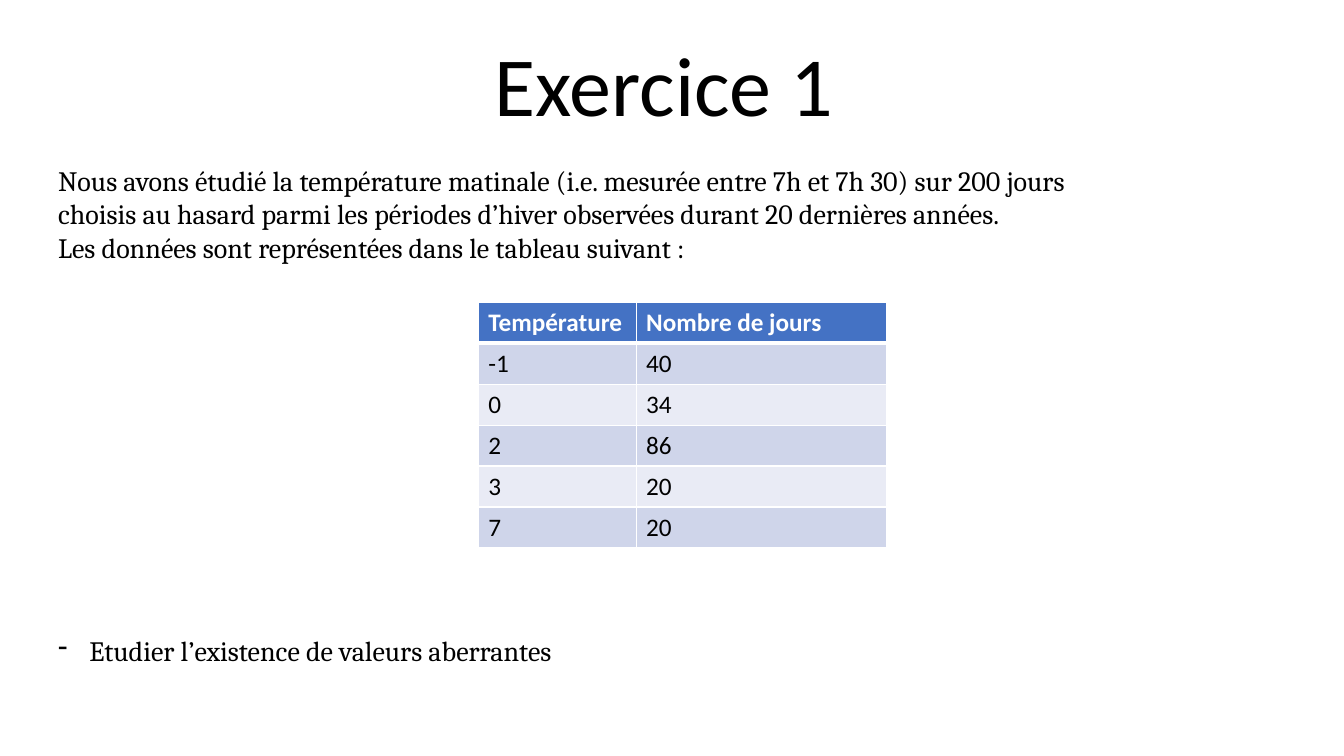
from lxml.etree import SubElement
from pptx import Presentation
from pptx.dml.color import RGBColor
from pptx.enum.text import MSO_ANCHOR as Anchor, PP_ALIGN as Align
from pptx.oxml.ns import qn
from pptx.util import Inches, Pt

BLACK = RGBColor(0x00, 0x00, 0x00)
WHITE = RGBColor(0xFF, 0xFF, 0xFF)
HEADER_BLUE = RGBColor(0x44, 0x72, 0xC4)
BANDS = (RGBColor(0xE9, 0xEB, 0xF5), RGBColor(0xCF, 0xD5, 0xEA))

TITLE = {"name": "Calibri", "size": Pt(60)}
BODY = {"name": "Cambria", "size": Pt(20)}
HEADER = {"name": "Calibri", "size": Pt(18), "bold": True}
CELL = {"name": "Calibri", "size": Pt(18), "bold": False}

STATEMENT = [
    ("Nous avons étudié la température matinale (i.e. mesurée entre 7h et 7h 30) "
     "sur 200 jours choisis au hasard parmi les périodes d’hiver observées "
     "durant 20 dernières années.", {}),
    ("Les données sont représentées dans le tableau suivant :", {}),
    ("Etudier l’existence de valeurs aberrantes",
     {"space_before": Pt(264), "bullet": "-"}),
]
TEMPERATURES = [
    ("Température", "Nombre de jours"),
    ("-1", "40"), ("0", "34"), ("2", "86"), ("3", "20"), ("7", "20"),
]


class ExerciseSlide:
    """Places styled elements on one slide by a grid of 12 columns and 12 rows."""

    def __init__(self, deck):
        self.page = deck.slides.add_slide(deck.slide_layouts[6])
        self.column = deck.slide_width / 12
        self.row = deck.slide_height / 12

    def area(self, left, top, width, height):
        return (round(left * self.column), round(top * self.row),
                round(width * self.column), round(height * self.row))

    def style(self, para, font, color):
        for name, value in font.items():
            setattr(para.font, name, value)
        para.font.color.rgb = color

    def bullet(self, para, mark):
        properties = para._p.get_or_add_pPr()
        properties.set("marL", str(Inches(0.31)))
        properties.set("indent", str(-Inches(0.31)))
        SubElement(properties, qn("a:buChar"), char=mark)

    def text(self, area, paragraphs, font, anchor=Anchor.TOP):
        frame = self.page.shapes.add_textbox(*self.area(*area)).text_frame
        frame.word_wrap = True
        frame.vertical_anchor = anchor
        for index, (words, layout) in enumerate(paragraphs):
            para = frame.add_paragraph() if index else frame.paragraphs[0]
            para.text = words
            for name, value in layout.items():
                if name == "bullet":
                    self.bullet(para, value)
                else:
                    setattr(para, name, value)
            self.style(para, font, BLACK)

    def borders(self, cell, top, bottom):
        properties = cell._tc.get_or_add_tcPr()
        for side, points in {"L": 1, "R": 1, "T": top, "B": bottom}.items():
            line = SubElement(properties, qn(f"a:ln{side}"), w=str(Pt(points)))
            fill = SubElement(line, qn("a:solidFill"))
            SubElement(fill, qn("a:srgbClr"), val=str(WHITE))

    def table(self, left, top, widths, row_height, rows):
        area = self.area(left, top, sum(widths), row_height * len(rows))
        table = self.page.shapes.add_table(len(rows), len(widths), *area).table
        for column, width in zip(table.columns, widths):
            column.width = round(width * self.column)
        for index, values in enumerate(rows):
            header = index == 0
            for cell, value in zip(table.rows[index].cells, values):
                cell.text = value
                self.borders(cell, 3 if index == 1 else 1, 3 if header else 1)
                cell.fill.solid()
                cell.fill.fore_color.rgb = HEADER_BLUE if header else BANDS[index % 2]
                self.style(cell.text_frame.paragraphs[0],
                           HEADER if header else CELL, WHITE if header else BLACK)


def main():
    deck = Presentation()
    deck.slide_width, deck.slide_height = Inches(13.33), Inches(7.5)
    slide = ExerciseSlide(deck)
    centred = {"alignment": Align.CENTER, "line_spacing": 0.9}
    slide.text((1.43, 0.05, 9, 2.16), [("Exercice 1", centred)], TITLE, Anchor.BOTTOM)
    slide.text((0.43, 2.51, 9.88, 9.44), STATEMENT, BODY)
    slide.table(4.27, 4.8, (1.41, 2.24), 0.65, TEMPERATURES)
    deck.save("out.pptx")


if __name__ == "__main__":
    main()
